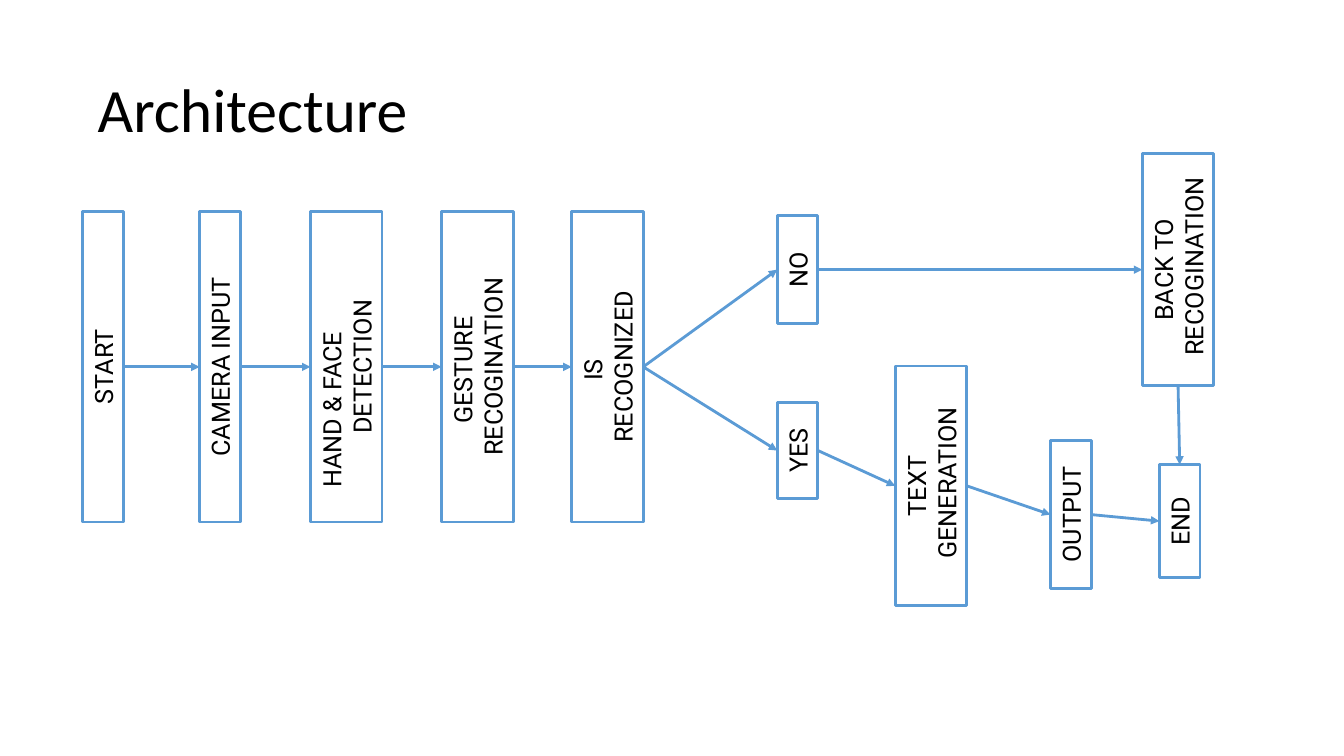
import pptx
import pptx.dml.color
import pptx.enum.shapes
import pptx.enum.text
import pptx.oxml
import pptx.util

COLOURS = {"line": "5B9BD5", "fill": "FFFFFF", "text": "000000"}
SLIDE_WIDTH = pptx.util.Inches(13.33)
SLIDE_HEIGHT = pptx.util.Inches(7.5)
INSET = pptx.util.Inches(0.05)

# All box lengths are percentages of the slide's width or height
NARROW, WIDE = 3.03, 5.33
MAIN_AXIS, MAIN_HEIGHT = 48.53, 41.07
NO_AXIS = 35.67

# name: left, middle, width, height, lines of text
BOXES = {
    "start": (6.15, MAIN_AXIS, NARROW, MAIN_HEIGHT, "START"),
    "camera": (14.85, MAIN_AXIS, NARROW, MAIN_HEIGHT, "CAMERA INPUT"),
    "detection": (23.1, MAIN_AXIS, WIDE, MAIN_HEIGHT, "HAND & FACE\nDETECTION"),
    "gesture": (32.85, MAIN_AXIS, WIDE, MAIN_HEIGHT, "GESTURE \nRECOGINATION"),
    "recognized": (42.53, MAIN_AXIS, WIDE, MAIN_HEIGHT, "IS \nRECOGNIZED"),
    "no": (57.83, NO_AXIS, NARROW, 14.27, "NO"),
    "yes": (57.83, 59.6, NARROW, 12.8, "YES"),
    "text": (66.61, 64.27, WIDE, 31.73, "TEXT\n GENERATION"),
    "output": (78.16, 68.07, NARROW, 19.6, "OUTPUT"),
    "end": (86.26, 68.93, NARROW, 14.93, "END"),
    "back": (84.99, NO_AXIS, WIDE, 30.67, "BACK TO\n RECOGINATION"),
}

TOP, LEFT, BOTTOM, RIGHT = range(4)
SIDEWAYS_ARROWS = [
    ("start", "camera"), ("camera", "detection"), ("detection", "gesture"),
    ("gesture", "recognized"), ("recognized", "no"), ("recognized", "yes"),
    ("yes", "text"), ("text", "output"), ("output", "end"), ("no", "back"),
]


def across(percent):
    return round(SLIDE_WIDTH * percent / 100)


def down(percent):
    return round(SLIDE_HEIGHT * percent / 100)


def colour(name):
    return pptx.dml.color.RGBColor.from_string(COLOURS[name])


def format_text(text_frame, font_name, size, alignment):
    text_frame.word_wrap = True
    text_frame.vertical_anchor = pptx.enum.text.MSO_ANCHOR.MIDDLE
    text_frame.margin_left = text_frame.margin_right = INSET
    text_frame.margin_top = text_frame.margin_bottom = INSET
    for paragraph in text_frame.paragraphs:
        paragraph.alignment = alignment
        for run in paragraph.runs:
            run.font.name = font_name
            run.font.size = pptx.util.Pt(size)
            run.font.color.rgb = colour("text")


def add_title(slide, text):
    shape = slide.shapes.add_textbox(across(6.9), down(3.33), across(25.96), down(23.2))
    shape.text_frame.text = text
    format_text(shape.text_frame, "Calibri", 44, pptx.enum.text.PP_ALIGN.LEFT)
    shape.text_frame.paragraphs[0].line_spacing = 0.9


def add_box(slide, left, middle, width, height, text):
    shape = slide.shapes.add_shape(
        pptx.enum.shapes.MSO_SHAPE.RECTANGLE,
        across(left), down(middle - height / 2), across(width), down(height))
    shape.shadow.inherit = False
    shape.fill.solid()
    shape.fill.fore_color.rgb = colour("fill")
    shape.line.color.rgb = colour("line")
    shape.line.width = pptx.util.Pt(2)
    shape.text_frame.text = text
    format_text(shape.text_frame, "Roboto", 18, pptx.enum.text.PP_ALIGN.CENTER)
    # Turn the text to read upwards
    shape.text_frame._txBody.bodyPr.set("vert", "vert270")
    return shape


def indent_first_line(shape, indent):
    paragraph = shape.text_frame.paragraphs[0]
    paragraph.alignment = pptx.enum.text.PP_ALIGN.LEFT
    paragraph._p.get_or_add_pPr().set("marL", str(pptx.util.Inches(indent)))


def add_arrow(slide, source, source_side, target, target_side):
    connector = slide.shapes.add_connector(
        pptx.enum.shapes.MSO_CONNECTOR.STRAIGHT, 0, 0, 0, 0)
    connector.begin_connect(source, source_side)
    connector.end_connect(target, target_side)
    connector.line.color.rgb = colour("line")
    connector.line.width = pptx.util.Pt(2)
    # Arrowhead at the target, and no shadow
    line = connector.line._get_or_add_ln()
    head = pptx.oxml.xmlchemy.OxmlElement("a:tailEnd")
    head.set("type", "triangle")
    line.append(head)
    connector._element.spPr.append(pptx.oxml.xmlchemy.OxmlElement("a:effectLst"))


def main():
    presentation = pptx.Presentation()
    presentation.slide_width = SLIDE_WIDTH
    presentation.slide_height = SLIDE_HEIGHT
    slide = presentation.slides.add_slide(presentation.slide_layouts[6])

    add_title(slide, "Architecture")

    # Steps of the flow
    boxes = {name: add_box(slide, *values) for name, values in BOXES.items()}
    indent_first_line(boxes["detection"], 0.24)

    # Links between the steps
    for source, target in SIDEWAYS_ARROWS:
        add_arrow(slide, boxes[source], RIGHT, boxes[target], LEFT)
    add_arrow(slide, boxes["back"], BOTTOM, boxes["end"], TOP)

    presentation.save("out.pptx")


if __name__ == "__main__":
    main()
